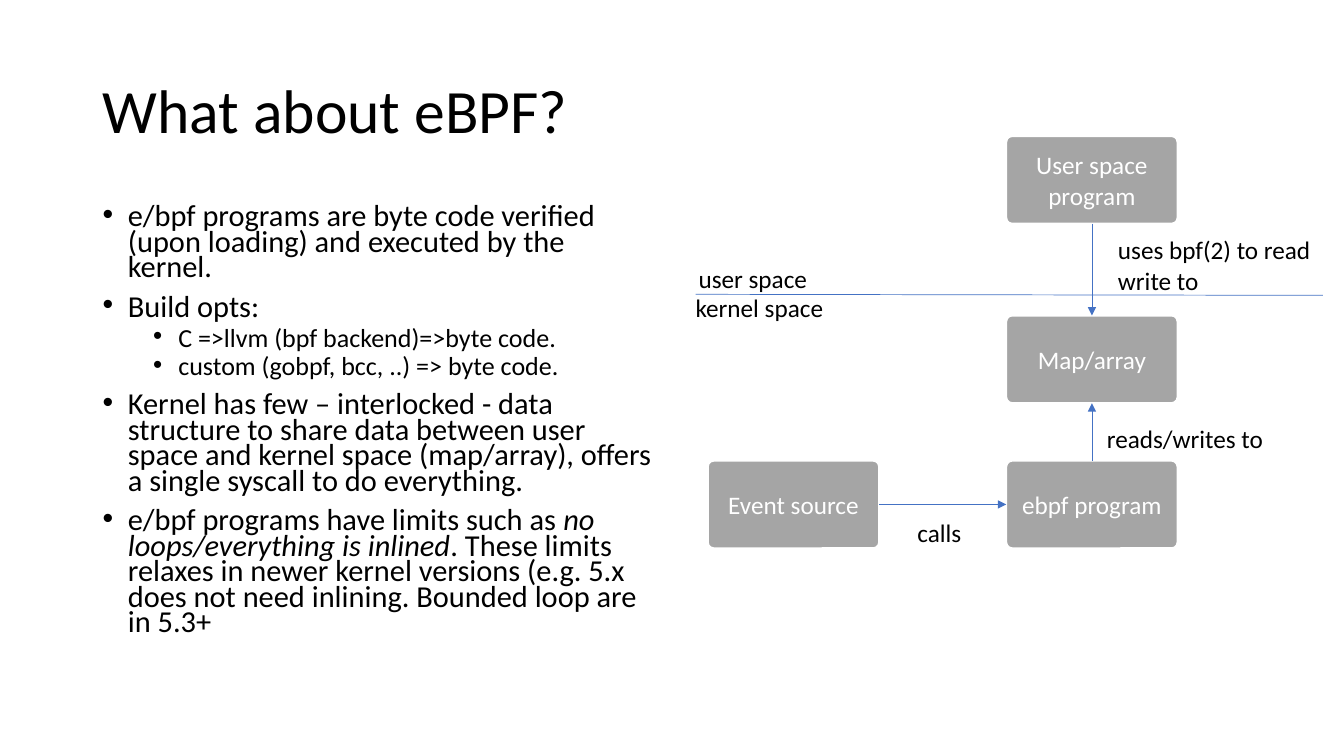
import dataclasses

import lxml.etree
import pptx
import pptx.dml.color
import pptx.enum.shapes
import pptx.enum.text
import pptx.oxml.ns
import pptx.util

qn = pptx.oxml.ns.qn
Align = pptx.enum.text.PP_ALIGN
Anchor = pptx.enum.text.MSO_ANCHOR
Fit = pptx.enum.text.MSO_AUTO_SIZE
Shape = pptx.enum.shapes.MSO_SHAPE
Line = pptx.enum.shapes.MSO_CONNECTOR


@dataclasses.dataclass(frozen=True)
class Theme:
    """Colours, font and type sizes of the slide."""
    font: str = "Calibri"
    ink: str = "000000"
    paper: str = "FFFFFF"
    node: str = "A5A5A5"
    line: str = "4472C4"
    title: float = 44
    body: float = 21.7
    sub: float = 18.6
    label: float = 18


THEME = Theme()
POINTS = [
    (0, ["e/bpf programs are byte code verified (upon loading) and executed by the kernel."]),
    (0, ["Build opts:"]),
    (1, ["C =>llvm (bpf backend)=>byte code."]),
    (1, ["custom (gobpf, bcc, ..) => byte code."]),
    (0, ["Kernel has few – interlocked - data structure to share data between user space "
         "and kernel space (map/array), offers a single syscall to do everything."]),
    (0, ["e/bpf programs have limits such as ", "no loops/everything is inlined",
         ". These limits relaxes in newer kernel versions (e.g. 5.x does not need inlining. "
         "Bounded loop are in 5.3+"]),
]
NODES = {
    "event": ("Event source", 22, 322),
    "ebpf": ("ebpf program", 318, 322),
    "map": ("Map/array", 318, 178),
    "user": ("User space program", 318, 0),
}
ARROWS = [("event", 3, "ebpf", 1), ("ebpf", 0, "map", 2), ("user", 2, "map", 0)]
LABELS = [
    ("reads/writes to", 408, 280, 177, 40),
    ("calls", 220, 373, 64, 40),
    ("kernel space", 0, 150, 148, 40),
    ("uses bpf(2) to read\nwrite to", 419, 93, 213, 71),
    ("user space", 3, 121, 129, 40),
]


def px(*sizes):
    """Turn lengths at 100 px to the inch into EMU."""
    return [pptx.util.Emu(size * 9144) for size in sizes]


def color(code):
    """Return the colour for a hex code."""
    return pptx.dml.color.RGBColor.from_string(code)


def style(par, size, code):
    """Set the font of each run in a paragraph."""
    for run in par.runs:
        run.font.name = THEME.font
        run.font.size = pptx.util.Pt(size)
        run.font.color.rgb = color(code)


def add_text(slide, box, text, size, wrap=True):
    """Add a text box and return its frame."""
    frame = slide.shapes.add_textbox(*px(*box)).text_frame
    frame.word_wrap = wrap
    frame.auto_size = Fit.NONE if wrap else Fit.SHAPE_TO_FIT_TEXT
    frame.text = text
    for par in frame.paragraphs:
        style(par, size, THEME.ink)
    return frame


def add_title(slide, box):
    """Place the slide title."""
    frame = add_text(slide, box, "What about eBPF?", THEME.title)
    frame.vertical_anchor = Anchor.MIDDLE
    frame.paragraphs[0].line_spacing = 0.9


def add_points(slide, box):
    """Place the bulleted list."""
    frame = add_text(slide, box, "", THEME.body)
    for index, (level, parts) in enumerate(POINTS):
        par = frame.add_paragraph() if index else frame.paragraphs[0]
        par.level = level
        par.line_spacing = 0.7
        par.space_before = pptx.util.Pt(5 if level else 10)
        for place, part in enumerate(parts):
            run = par.add_run()
            run.text = part
            run.font.italic = place == 1
        style(par, THEME.sub if level else THEME.body, THEME.ink)
        left, hang = px(25 + 50 * level, -25)
        props = par._p.get_or_add_pPr()
        props.set("marL", str(left))
        props.set("indent", str(hang))
        lxml.etree.SubElement(props, qn("a:buFont")).set("typeface", "Arial")
        lxml.etree.SubElement(props, qn("a:buChar")).set("char", "•")


def add_node(slide, box, text):
    """Add one rounded box of the diagram."""
    node = slide.shapes.add_shape(Shape.ROUNDED_RECTANGLE, *px(*box))
    node.adjustments[0] = 0.067
    node.shadow.inherit = False
    node.fill.solid()
    node.fill.fore_color.rgb = color(THEME.node)
    node.line.color.rgb = color(THEME.paper)
    node.line.width = pptx.util.Pt(1.5)
    frame = node.text_frame
    frame.word_wrap = True
    frame.vertical_anchor = Anchor.MIDDLE
    frame.text = text
    frame.paragraphs[0].alignment = Align.CENTER
    style(frame.paragraphs[0], THEME.label, THEME.paper)
    return node


def add_line(slide, ends, arrow=False):
    """Add a thin line, with an arrowhead if asked."""
    line = slide.shapes.add_connector(Line.STRAIGHT, *px(*ends))
    line.line.color.rgb = color(THEME.line)
    line.line.width = pptx.util.Pt(0.5)
    props = line._element.spPr
    if arrow:
        tail = lxml.etree.SubElement(props.find(qn("a:ln")), qn("a:tailEnd"))
        tail.set("type", "triangle")
    lxml.etree.SubElement(props, qn("a:effectLst"))
    return line


def add_diagram(slide, box):
    """Place the nodes, arrows, border and labels."""
    left, top, width, height = box
    nodes = {
        key: add_node(slide, (left + x, top + y, 170, 87), text)
        for key, (text, x, y) in NODES.items()
    }
    for start, out, end, into in ARROWS:
        arrow = add_line(slide, (0, 0, 0, 0), True)
        arrow.begin_connect(nodes[start], out)
        arrow.end_connect(nodes[end], into)
    add_line(slide, (left + 10, top + 157, left + width, top + 158))
    for text, x, y, wide, high in LABELS:
        add_text(slide, (left + x, top + y, wide, high), text, THEME.label, False)


def main():
    """Build and save the slide."""
    deck = pptx.Presentation()
    deck.slide_width, deck.slide_height = px(1333, 750)
    slide = deck.slides.add_slide(deck.slide_layouts[6])
    add_title(slide, (92, 40, 1150, 145))
    add_points(slide, (92, 200, 567, 476))
    add_diagram(slide, (680, 135, 632, 413))
    deck.save("out.pptx")


if __name__ == "__main__":
    main()
